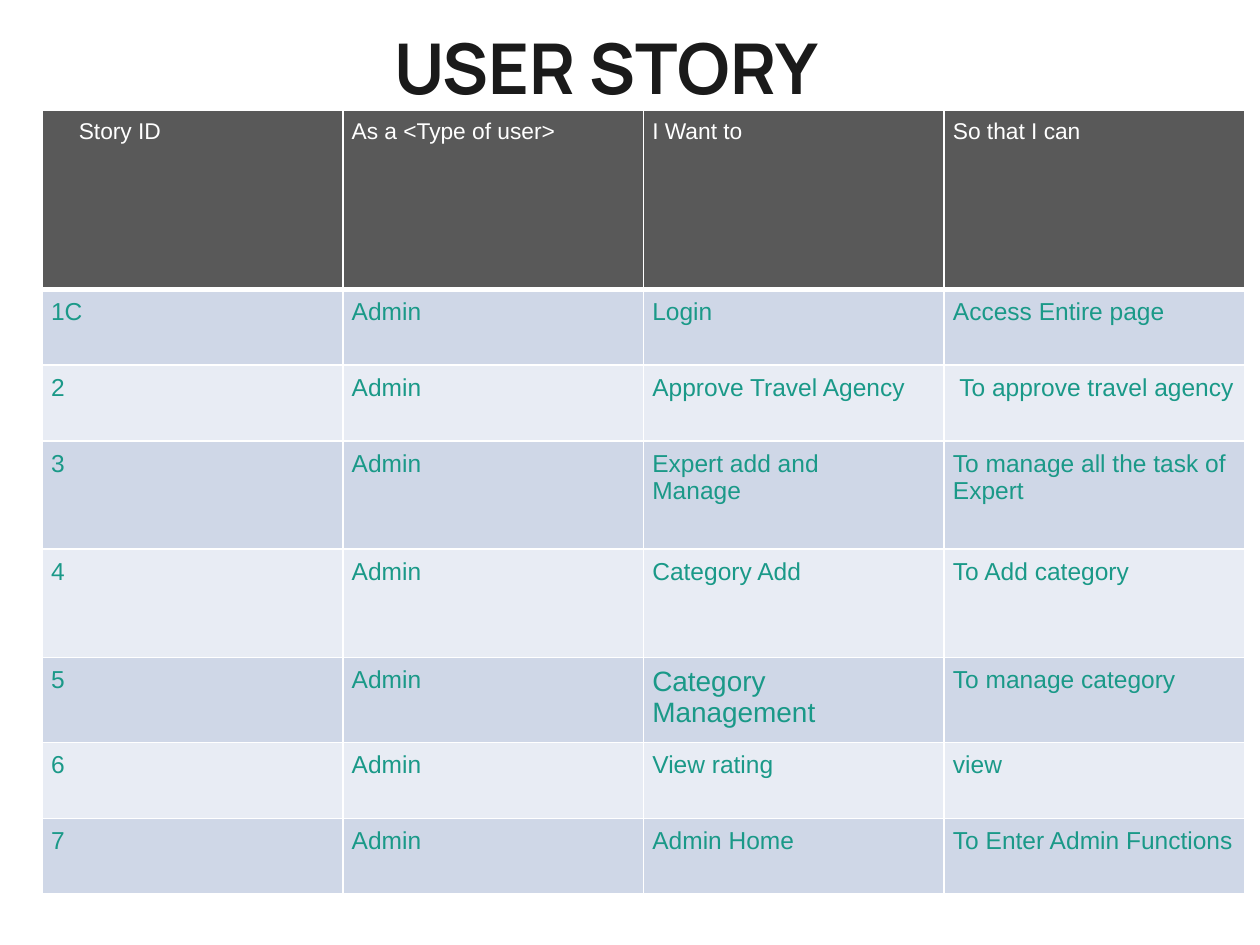
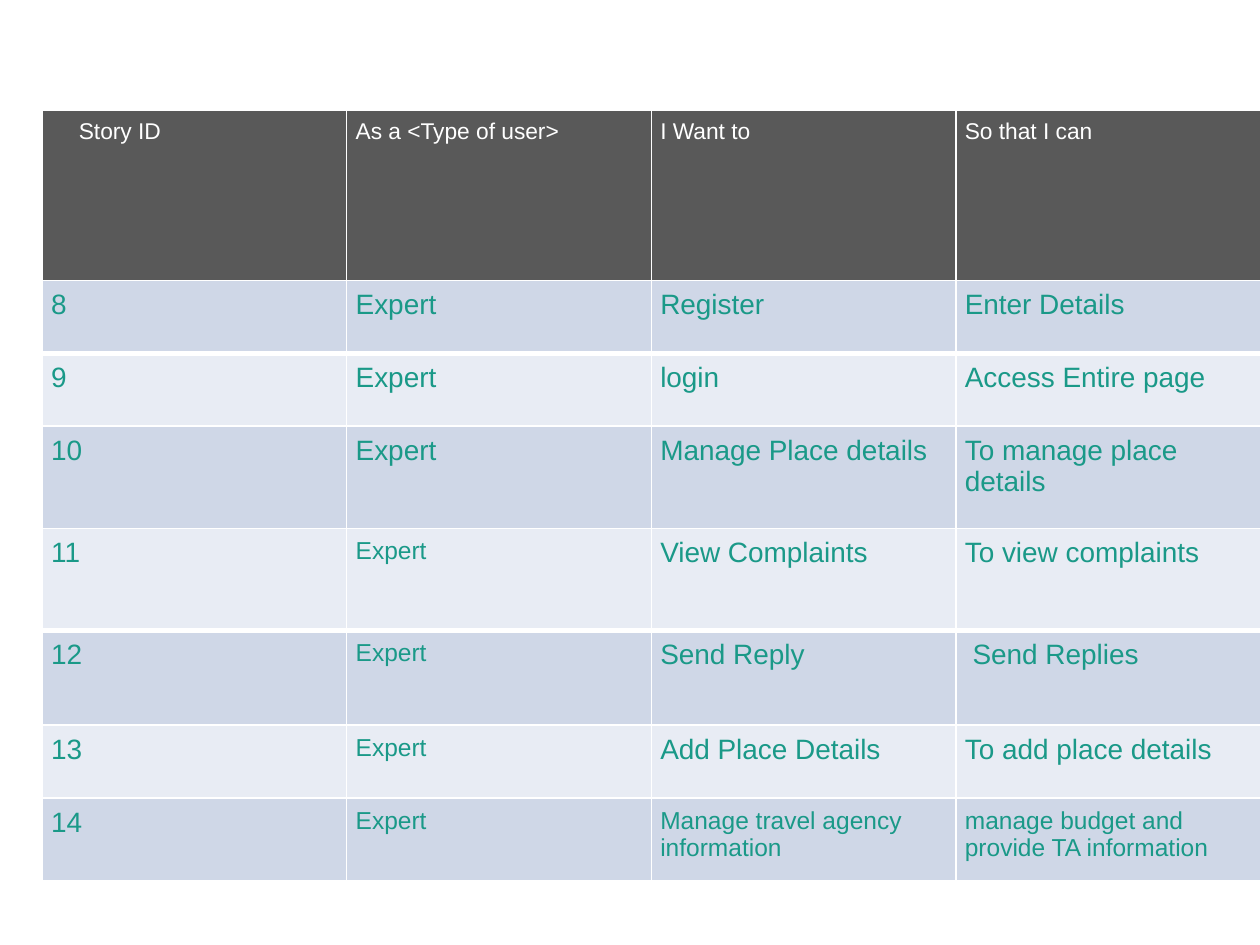
from lxml import etree
from pptx import Presentation
from pptx import util as u
from pptx.dml import color
from pptx.enum import text
from pptx.oxml import ns

WHITE = "FFFFFF"
INK = "1A1A1A"
HEADER_GREY = "595959"
TEAL = "1A9988"
BANDS = ("CFD7E7", "E8ECF4")

TABLE_LEFT, TABLE_TOP = u.Cm(0.85), u.Cm(2.22)
CELL_MARGIN = u.Cm(0.18)
HEADER_INDENT = u.Cm(0.74)
THIN, THICK = 1, 3

HEADINGS = ("Story ID", "As a <Type of user>", "I Want to", "So that I can")

ADMIN_STORIES = [
    ("1C", "Admin", "Login", "Access Entire page"),
    ("2", "Admin", "Approve Travel Agency", " To approve travel agency"),
    ("3", "Admin", "Expert add and\nManage", "To manage all the task of Expert"),
    ("4", "Admin", "Category Add", "To Add category"),
    ("5", "Admin", "Category Management", "To manage category"),
    ("6", "Admin", "View rating", "view"),
    ("7", "Admin", "Admin Home", "To Enter Admin Functions"),
]
EXPERT_STORIES = [
    ("8", "Expert", "Register", "Enter Details"),
    ("9", "Expert", "login", "Access Entire page"),
    ("10", "Expert", "Manage Place details", "To manage place details"),
    ("11", "Expert", "View Complaints", "To view complaints"),
    ("12", "Expert", "Send Reply", " Send Replies"),
    ("13", "Expert", "Add Place Details", "To add place details"),
    ("14", "Expert", "Manage travel agency\ninformation",
     "manage budget and provide TA information"),
]
ADMIN_HEIGHTS = (3.61, 1.53, 1.53, 2.18, 2.18, 1.55, 1.53, 1.53)
EXPERT_HEIGHTS = (3.43, 1.47, 1.47, 2.06, 2.06, 1.91, 1.47, 1.7)
ADMIN_SIZES = {(5, 2): 16}
EXPERT_SIZES = {(4, 1): 14, (5, 1): 14, (6, 1): 14, (7, 1): 14, (7, 2): 14, (7, 3): 14}


def rgb(value):
    return color.RGBColor.from_string(value)


def write(frame, content, size, ink, font="Arial", bold=False, align=text.PP_ALIGN.LEFT):
    frame.word_wrap = True
    for index, line in enumerate(content.split("\n")):
        para = frame.add_paragraph() if index else frame.paragraphs[0]
        para.alignment = align
        span = para.add_run()
        span.text = line
        span.font.name = font
        span.font.size = u.Pt(size)
        span.font.bold = bold
        span.font.color.rgb = rgb(ink)


def add_title(page, content):
    box = page.shapes.add_textbox(u.Cm(0.79), u.Cm(-0.25), u.Cm(22.86), u.Cm(3.18))
    box.text_frame.vertical_anchor = text.MSO_ANCHOR.MIDDLE
    write(box.text_frame, content, 40, INK, font="Manrope", bold=True,
          align=text.PP_ALIGN.CENTER)


def set_borders(cell, top, bottom):
    properties = cell._tc.get_or_add_tcPr()
    for side, width in (("L", THIN), ("R", THIN), ("T", top), ("B", bottom)):
        line = etree.SubElement(properties, ns.qn(f"a:ln{side}"), w=str(u.Pt(width)))
        fill = etree.SubElement(line, ns.qn("a:solidFill"))
        etree.SubElement(fill, ns.qn("a:srgbClr"), val=WHITE)


def format_cell(cell, fill, top, bottom):
    set_borders(cell, top, bottom)
    cell.fill.solid()
    cell.fill.fore_color.rgb = rgb(fill)
    cell.margin_left = cell.margin_right = CELL_MARGIN
    cell.margin_top = cell.margin_bottom = CELL_MARGIN


def add_story_table(page, stories, column_width, heights, body_size, sizes, thick_after):
    rows = [HEADINGS, *stories]
    columns = len(HEADINGS)
    table = page.shapes.add_table(
        len(rows), columns, TABLE_LEFT, TABLE_TOP,
        u.Cm(column_width * columns), u.Cm(sum(heights))).table
    table.horz_banding = False
    for column in table.columns:
        column.width = u.Cm(column_width)
    for row_index, row in enumerate(rows):
        table.rows[row_index].height = u.Cm(heights[row_index])
        header = row_index == 0
        fill = HEADER_GREY if header else BANDS[(row_index - 1) % 2]
        top = THICK if row_index - 1 in thick_after else THIN
        bottom = THICK if row_index in thick_after else THIN
        for column_index, content in enumerate(row):
            cell = table.cell(row_index, column_index)
            format_cell(cell, fill, top, bottom)
            size = 13 if header else sizes.get((row_index, column_index), body_size)
            write(cell.text_frame, content, size, WHITE if header else TEAL)
    table.cell(0, 0).margin_left = HEADER_INDENT


def main():
    deck = Presentation()
    deck.slide_width, deck.slide_height = u.Cm(25.4), u.Cm(19.05)
    blank = deck.slide_layouts[6]

    admin_page = deck.slides.add_slide(blank)
    add_title(admin_page, "USER STORY")
    add_story_table(admin_page, ADMIN_STORIES, 6.06, ADMIN_HEIGHTS, 14, ADMIN_SIZES, {0})

    expert_page = deck.slides.add_slide(blank)
    add_story_table(expert_page, EXPERT_STORIES, 6.14, EXPERT_HEIGHTS, 16, EXPERT_SIZES,
                    {1, 4, 7})

    deck.save("out.pptx")


if __name__ == "__main__":
    main()
